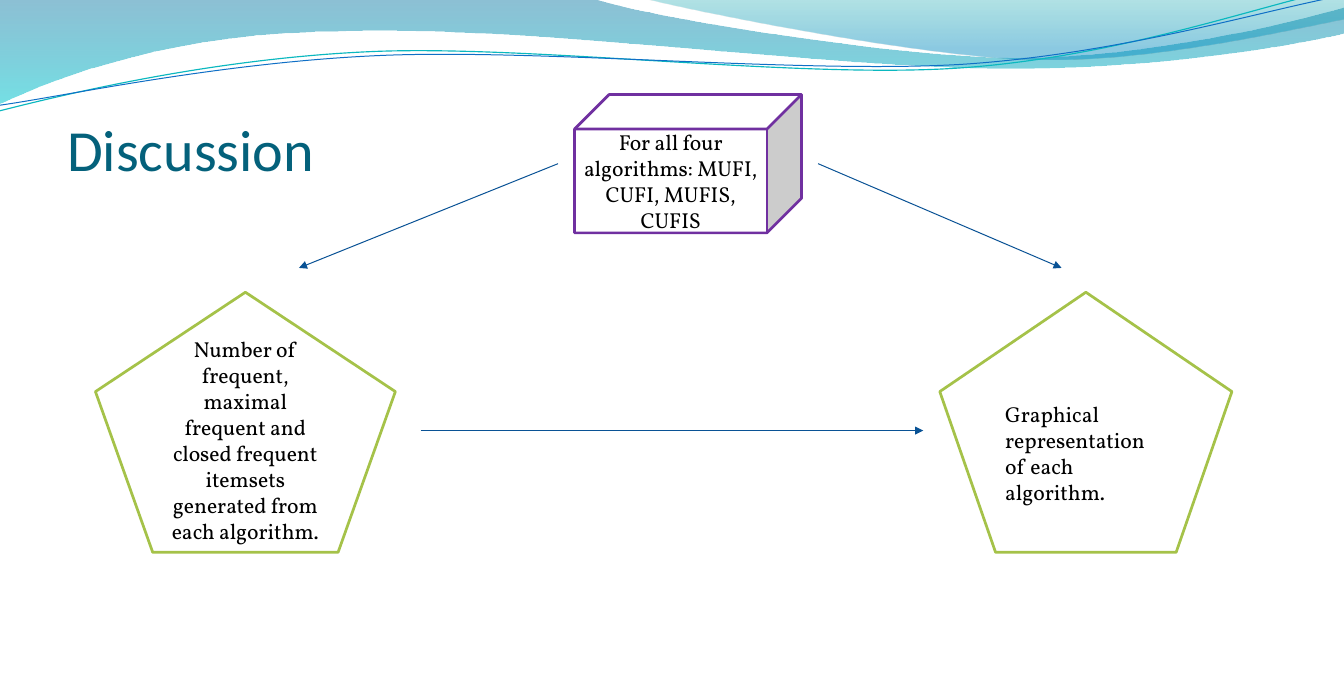
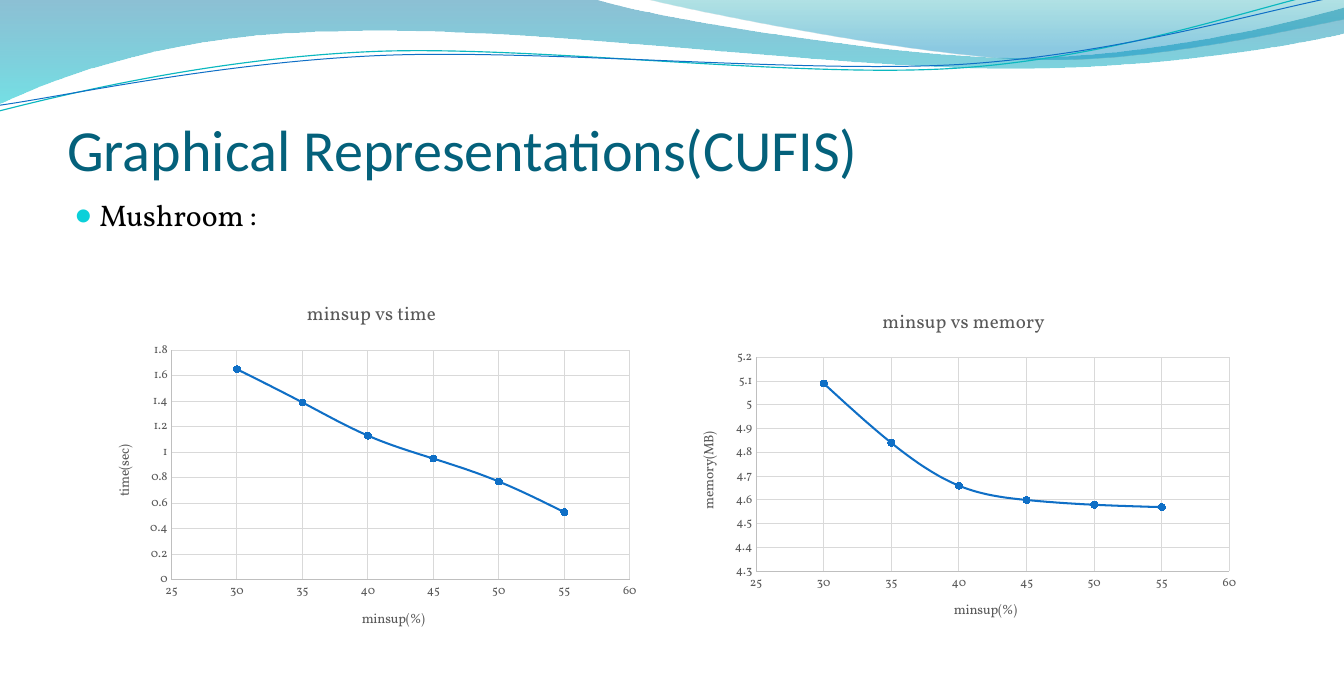
"""Builds two slides on frequent-itemset algorithms: a discussion diagram and two charts."""
from dataclasses import dataclass
from typing import Any, NamedTuple, Optional

from lxml import etree
from pptx import Presentation
from pptx import util as u
from pptx.chart import data as chart_data
from pptx.dml.color import RGBColor
from pptx.enum import chart as chart_kinds
from pptx.enum import shapes, text
from pptx.oxml.ns import qn

Point = tuple[float, float]


@dataclass(frozen=True)
class Theme:
    """Colours, fonts and type sizes of the deck."""
    title: str = "04617B"
    ink: str = "000000"
    paper: str = "FFFFFF"
    green: str = "A5C249"
    purple: str = "7030A0"
    arrow: str = "095295"
    blue: str = "0F6FC6"
    teal: str = "0AB8BF"
    bullet: str = "0BD0D9"
    chart_text: str = "595959"
    axis: str = "BFBFBF"
    grid: str = "D9D9D9"
    heading_font: str = "Calibri"
    body_font: str = "Vollkorn"
    title_size: float = 43
    body_size: float = 22
    node_size: float = 16
    chart_title_size: float = 14
    axis_title_size: float = 10
    tick_size: float = 9


THEME = Theme()


class Stop(NamedTuple):
    """One gradient stop with its opacity in percent."""
    position: float
    color: str
    opacity: int


class Wave(NamedTuple):
    """An outline of straight steps (one point) and curved steps (three points)."""
    steps: list[tuple[Point, ...]]
    stops: tuple[Stop, ...] = ()
    line: str = ""
    weight: float = 0


class Node(NamedTuple):
    """A labelled shape of the discussion diagram."""
    preset: Any
    box: tuple[float, float, float, float]
    color: str
    label: str
    align: Any
    side_inset: float = 0.1
    bottom_inset: float = 0.05


class Arrow(NamedTuple):
    """An arrow between two points."""
    start: Point
    end: Point


class Scale(NamedTuple):
    """The range and step of an axis."""
    low: float
    high: float
    step: float


class Plot(NamedTuple):
    """A chart of one measure against minimum support."""
    box: tuple[float, float, float, float]
    title: str
    measure: str
    values: list[float]
    scale: Scale


WAVES = [
    Wave([((0, 0),), ((6.08, -0.01),),
          ((6.56, 0.16), (9.16, 0.59), (10.47, 0.59)),
          ((11.77, 0.59), (13.23, 0.24), (13.8, 0.08)),
          ((13.81, 0.34),),
          ((13.57, 0.41), (12, 0.71), (10.29, 0.7)),
          ((8.58, 0.7), (5.27, 0.26), (3.55, 0.32)),
          ((1.78, 0.33), (0.63, 0.77), (-0.01, 1.06))],
         stops=(Stop(0, "0074A1", 45), Stop(1, "00C6CF", 55))),
    Wave([((6.61, -0.01),),
          ((7.03, 0.1), (9.41, 0.58), (10.61, 0.61)),
          ((11.81, 0.64), (13.27, 0.3), (13.8, 0.2)),
          ((13.8, 0),)],
         stops=(Stop(0, "00A1A9", 30), Stop(0.8, "008BBF", 45))),
    Wave([((-0.01, 1.14),),
          ((0.66, 0.97), (2.18, 0.6), (3.82, 0.53)),
          ((5.46, 0.46), (8.17, 0.81), (9.83, 0.7)),
          ((11.49, 0.59), (12.95, 0.05), (13.78, -0.12))],
         line=THEME.teal, weight=0.85),
    Wave([((0, 1.08),),
          ((0.65, 0.99), (2.26, 0.64), (3.91, 0.57)),
          ((5.56, 0.5), (8.24, 0.76), (9.89, 0.66)),
          ((11.54, 0.55), (12.99, 0.1), (13.81, -0.05))],
         line=THEME.blue, weight=0.75),
]

PENTAGON = shapes.MSO_SHAPE.REGULAR_PENTAGON
CENTER, LEFT = text.PP_ALIGN.CENTER, text.PP_ALIGN.LEFT
NODES = [
    Node(PENTAGON, (9.65, 3, 3, 2.67), THEME.green,
         "Graphical representation of each algorithm.", LEFT),
    Node(PENTAGON, (0.98, 3, 3.08, 2.67), THEME.green,
         "Number of frequent, maximal frequent and closed frequent itemsets "
         "generated from each algorithm.", CENTER, bottom_inset=0.32),
    Node(shapes.MSO_SHAPE.CUBE, (5.9, 0.97, 2.33, 1.42), THEME.purple,
         "For all four algorithms: MUFI, CUFI, MUFIS, CUFIS", CENTER, side_inset=0.08),
]
ARROWS = [Arrow((4.32, 4.42), (9.48, 4.42)),
          Arrow((5.73, 1.68), (3.07, 2.75)),
          Arrow((8.4, 1.68), (10.9, 2.75))]

MINSUP = range(30, 60, 5)
MINSUP_SCALE = Scale(25, 60, 5)
PLOTS = [
    Plot((0.98, 2.92, 5.67, 3.75), "minsup vs time", "time(sec)",
         [1.65, 1.39, 1.13, 0.95, 0.77, 0.53], Scale(0, 1.8, 0.2)),
    Plot((6.98, 3, 5.83, 3.58), "minsup vs memory", "memory(MB)",
         [5.09, 4.84, 4.66, 4.6, 4.58, 4.57], Scale(4.3, 5.2, 0.1)),
]


def rgb(color: str) -> RGBColor:
    """Return the colour of a hex string."""
    return RGBColor.from_string(color)


def inches(*lengths: float) -> list[u.Length]:
    """Convert lengths in inches."""
    return [u.Inches(length) for length in lengths]


def set_line(line: Any, color: str, weight: float) -> None:
    """Give a line its colour and weight."""
    line.color.rgb = rgb(color)
    line.width = u.Pt(weight)


def set_font(font: Any, size: float, color: str, name: str = THEME.body_font) -> None:
    """Give a font its face, size, weight and colour."""
    font.name, font.size, font.bold = name, u.Pt(size), False
    font.color.rgb = rgb(color)


def add_run(paragraph: Any, words: str, size: float, color: str = THEME.ink,
            name: str = THEME.body_font) -> None:
    """Append one formatted run."""
    run = paragraph.add_run()
    run.text = words
    set_font(run.font, size, color, name)


def set_insets(frame: Any, left: float, top: float, right: float, bottom: float) -> None:
    """Set the inner margins of a text frame and let it wrap."""
    frame.margin_left, frame.margin_top, frame.margin_right, frame.margin_bottom = inches(
        left, top, right, bottom)
    frame.word_wrap = True


def bend(band: Any, steps: list[tuple[Point, ...]]) -> None:
    """Replace the straight segments of curved steps by Bézier curves."""
    segments = band.element.xpath(".//a:path/a:lnTo")
    for segment, step in zip(segments, steps[1:]):
        if len(step) == 1:
            continue
        curve = etree.Element(qn("a:cubicBezTo"))
        for x, y in step:
            etree.SubElement(curve, qn("a:pt"), x=str(u.Inches(x) - band.left),
                             y=str(u.Inches(y) - band.top))
        segment.getparent().replace(segment, curve)


def add_wave(slide: Any, wave: Wave) -> Any:
    """Draw one wave of the top band."""
    first, *rest = [tuple(inches(*step[-1])) for step in wave.steps]
    builder = slide.shapes.build_freeform(*first)
    builder.add_line_segments(rest, close=bool(wave.stops))
    band = builder.convert_to_shape()
    bend(band, wave.steps)
    band.shadow.inherit = False
    if not wave.stops:
        band.fill.background()
        set_line(band.line, wave.line, wave.weight)
        return band
    band.line.fill.background()
    band.fill.gradient()
    band.fill.gradient_angle = 270
    for target, stop in zip(band.fill.gradient_stops, wave.stops):
        target.position = stop.position
        target.color.rgb = rgb(stop.color)
    colors = band.element.xpath("./p:spPr/a:gradFill//a:srgbClr")
    for color, stop in zip(colors, wave.stops):
        etree.SubElement(color, qn("a:alpha"), val=str(stop.opacity * 1000))
    return band


def add_master_waves(slide: Any, master: Any) -> None:
    """Draw the top band and place it on the master behind everything."""
    tree = master.shapes.element
    for order, wave in enumerate(WAVES):
        element = add_wave(slide, wave).element
        element.xpath("./p:nvSpPr/p:cNvPr")[0].set("id", str(100 + order))
        tree.insert(2 + order, element)


def add_titled_slide(deck: Any, words: str) -> Any:
    """Add a title-only slide with its formatted title."""
    slide = deck.slides.add_slide(deck.slide_layouts[5])
    title = slide.shapes.title
    title.left, title.top, title.width, title.height = inches(0.69, 0.71, 12.42, 1.17)
    frame = title.text_frame
    set_insets(frame, 0, 0.04, 0, 0)
    frame.auto_size = text.MSO_AUTO_SIZE.NONE
    frame.vertical_anchor = text.MSO_ANCHOR.BOTTOM
    frame.paragraphs[0].alignment = LEFT
    add_run(frame.paragraphs[0], words, THEME.title_size, THEME.title, THEME.heading_font)
    return slide


def add_node(slide: Any, node: Node) -> None:
    """Draw a labelled shape."""
    figure = slide.shapes.add_shape(node.preset, *inches(*node.box))
    figure.shadow.inherit = False
    figure.fill.solid()
    figure.fill.fore_color.rgb = rgb(THEME.paper)
    set_line(figure.line, node.color, 2)
    frame = figure.text_frame
    set_insets(frame, node.side_inset, 0.05, node.side_inset, node.bottom_inset)
    frame.vertical_anchor = text.MSO_ANCHOR.MIDDLE
    frame.paragraphs[0].alignment = node.align
    add_run(frame.paragraphs[0], node.label, THEME.node_size)


def add_arrow(slide: Any, arrow: Arrow) -> None:
    """Draw an arrow with a triangular head."""
    link = slide.shapes.add_connector(shapes.MSO_CONNECTOR.STRAIGHT,
                                      *inches(*arrow.start, *arrow.end))
    set_line(link.line, THEME.arrow, 0.75)
    properties = link.element.xpath("./p:spPr")[0]
    etree.SubElement(properties.find(qn("a:ln")), qn("a:tailEnd"), type="triangle")
    etree.SubElement(properties, qn("a:effectLst"))


def add_bullet(slide: Any, words: str) -> None:
    """Add the bulleted dataset line."""
    frame = slide.shapes.add_textbox(*inches(0.69, 1.98, 12.42, 4.48)).text_frame
    set_insets(frame, 0.08, 0.04, 0.08, 0.04)
    dataset = frame.paragraphs[0]
    dataset.space_before = u.Pt(4.4)
    add_run(dataset, words, THEME.body_size)
    properties = dataset._p.get_or_add_pPr()
    indent = u.Inches(0.25)
    properties.set("marL", str(indent))
    properties.set("indent", str(-indent))
    color = etree.SubElement(properties, qn("a:buClr"))
    etree.SubElement(color, qn("a:srgbClr"), val=THEME.bullet)
    etree.SubElement(properties, qn("a:buSzPct"), val="95000")
    etree.SubElement(properties, qn("a:buFont"), typeface=THEME.heading_font)
    etree.SubElement(properties, qn("a:buChar"), char="●")


def format_axis(axis: Any, words: str, scale: Scale, turn: Optional[str] = None) -> None:
    """Give an axis its title, scale, lines and type."""
    axis.minimum_scale, axis.maximum_scale, axis.major_unit = scale
    axis.major_tick_mark = axis.minor_tick_mark = chart_kinds.XL_TICK_MARK.NONE
    axis.has_major_gridlines = True
    set_line(axis.major_gridlines.format.line, THEME.grid, 0.75)
    set_line(axis.format.line, THEME.axis, 0.75)
    set_font(axis.tick_labels.font, THEME.tick_size, THEME.chart_text)
    add_run(axis.axis_title.text_frame.paragraphs[0], words,
            THEME.axis_title_size, THEME.chart_text)
    if turn:
        axis.axis_title.element.xpath(".//a:bodyPr")[0].set("rot", turn)


def add_plot(slide: Any, plot: Plot) -> None:
    """Add a smooth scatter chart."""
    data = chart_data.XyChartData()
    points = data.add_series("Series 1")
    for minsup, value in zip(MINSUP, plot.values):
        points.add_data_point(minsup, value)
    chart = slide.shapes.add_chart(chart_kinds.XL_CHART_TYPE.XY_SCATTER_SMOOTH,
                                   *inches(*plot.box), data).chart
    set_font(chart.font, THEME.axis_title_size, THEME.ink)
    chart.has_legend = False
    add_run(chart.chart_title.text_frame.paragraphs[0], plot.title,
            THEME.chart_title_size, THEME.chart_text)
    chart.chart_title.include_in_layout = False
    format_axis(chart.category_axis, "minsup(%)", MINSUP_SCALE)
    format_axis(chart.value_axis, plot.measure, plot.scale, "-5400000")
    chart.plots[0].vary_by_categories = False
    curve = chart.plots[0].series[0]
    set_line(curve.format.line, THEME.blue, 1.5)
    curve.marker.style, curve.marker.size = chart_kinds.XL_MARKER_STYLE.CIRCLE, 5
    curve.marker.format.fill.solid()
    curve.marker.format.fill.fore_color.rgb = rgb(THEME.blue)
    set_line(curve.marker.format.line, THEME.blue, 0.75)
    for smooth in chart.element.xpath(".//c:smooth"):
        smooth.set("val", "1")


def main() -> None:
    """Build and save the deck."""
    deck = Presentation()
    deck.slide_width, deck.slide_height = inches(13.8, 7)
    discussion = add_titled_slide(deck, "Discussion")
    add_master_waves(discussion, deck.slide_master)
    for node in NODES:
        add_node(discussion, node)
    for arrow in ARROWS:
        add_arrow(discussion, arrow)
    results = add_titled_slide(deck, "Graphical Representations(CUFIS)")
    add_bullet(results, "Mushroom :")
    for plot in PLOTS:
        add_plot(results, plot)
    deck.save("out.pptx")


if __name__ == "__main__":
    main()
